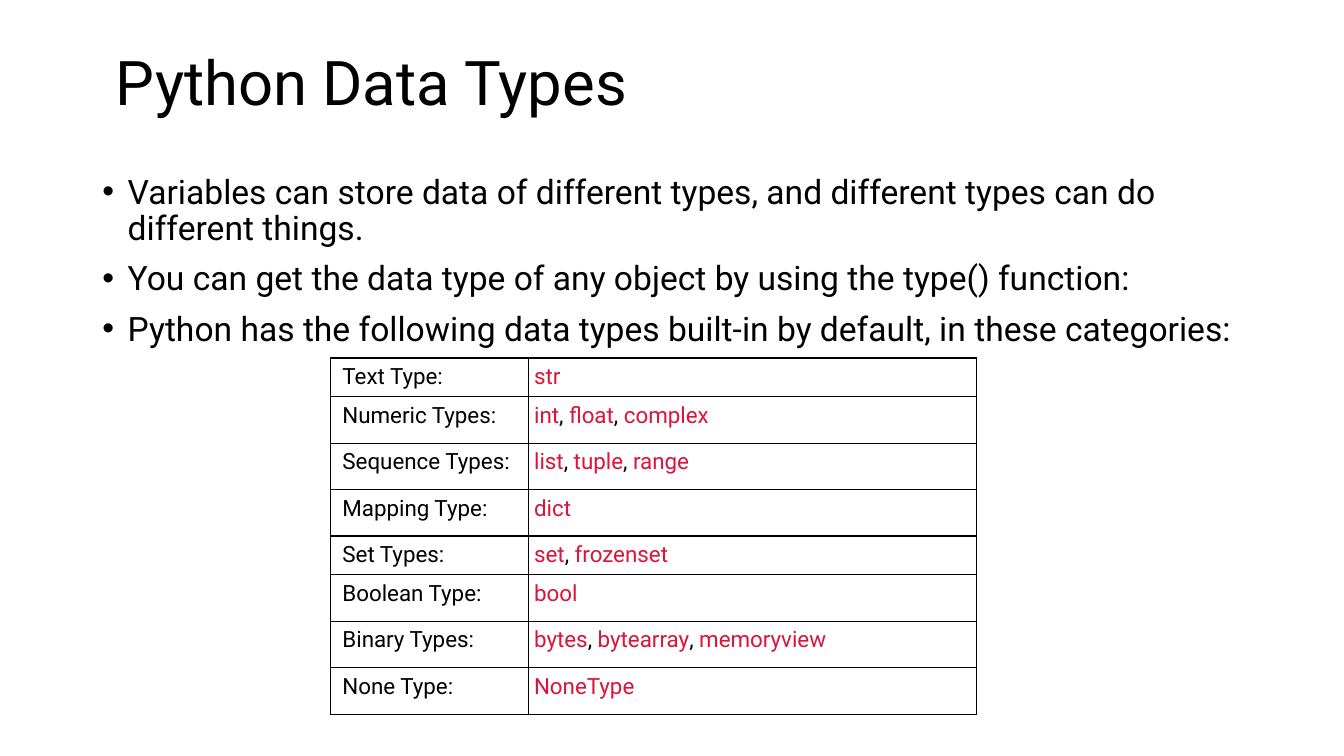
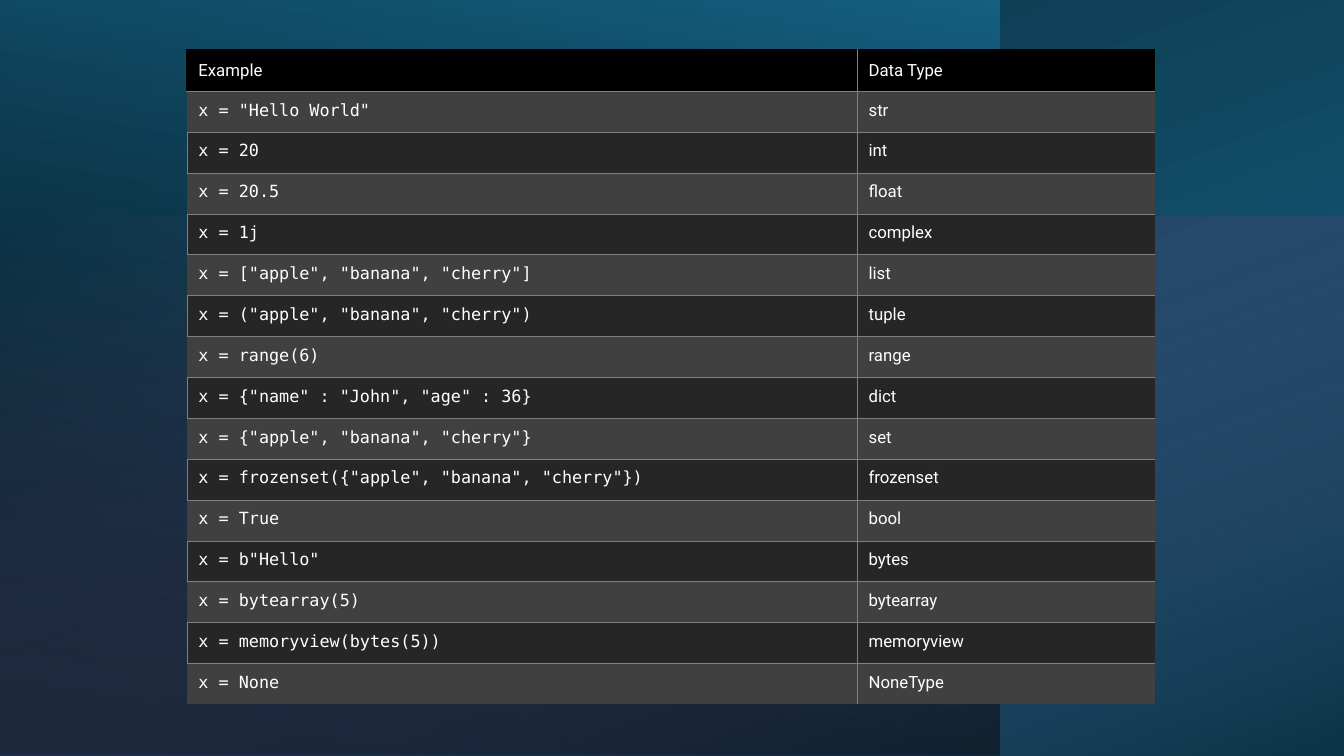
from lxml.etree import SubElement
from pptx import Presentation
from pptx.dml.color import RGBColor
from pptx.enum.shapes import MSO_SHAPE
from pptx.enum.text import MSO_ANCHOR
from pptx.oxml.ns import qn
from pptx.util import Cm, Pt

BLACK = RGBColor(0x00, 0x00, 0x00)
WHITE = RGBColor(0xFF, 0xFF, 0xFF)
CRIMSON = RGBColor(0xDC, 0x14, 0x3C)
GRAY = RGBColor(0x80, 0x80, 0x80)
ROW_LIGHT = RGBColor(0x40, 0x40, 0x40)
ROW_DARK = RGBColor(0x26, 0x26, 0x26)
TEAL = RGBColor(0x15, 0x60, 0x82)
DEEP_TEAL = RGBColor(0x0B, 0x30, 0x41)
PINK = RGBColor(0xD8, 0x6E, 0xCC)

BODY_FONT = "Roboto"
CODE_FONT = "DejaVu Sans Mono"
NO_TABLE_STYLE = "{2D5ABB26-0587-4C30-8999-92F81FD0307C}"
SLIDE_WIDTH, SLIDE_HEIGHT = 33.87, 19.05

BULLETS = [
    "Variables can store data of different types, and different types can do different things.",
    "You can get the data type of any object by using the type() function:",
    "Python has the following data types built-in by default, in these categories:",
]
CATEGORIES = [
    ("Text Type:", "str"),
    ("Numeric Types:", "int, float, complex"),
    ("Sequence Types:", "list, tuple, range"),
    ("Mapping Type:", "dict"),
    ("Set Types:", "set, frozenset"),
    ("Boolean Type:", "bool"),
    ("Binary Types:", "bytes, bytearray, memoryview"),
    ("None Type:", "NoneType"),
]
EXAMPLES = [
    ("Example", "Data Type"),
    ('x = "Hello World"', "str"),
    ("x = 20", "int"),
    ("x = 20.5", "float"),
    ("x = 1j", "complex"),
    ('x = ["apple", "banana", "cherry"]', "list"),
    ('x = ("apple", "banana", "cherry")', "tuple"),
    ("x = range(6)", "range"),
    ('x = {"name" : "John", "age" : 36}', "dict"),
    ('x = {"apple", "banana", "cherry"}', "set"),
    ('x = frozenset({"apple", "banana", "cherry"})', "frozenset"),
    ("x = True", "bool"),
    ('x = b"Hello"', "bytes"),
    ("x = bytearray(5)", "bytearray"),
    ("x = memoryview(bytes(5))", "memoryview"),
    ("x = None", "NoneType"),
]


class Deck:
    def __init__(self):
        self.presentation = Presentation()
        self.presentation.slide_width = Cm(SLIDE_WIDTH)
        self.presentation.slide_height = Cm(SLIDE_HEIGHT)
        self.slide = None

    def new_slide(self):
        self.slide = self.presentation.slides.add_slide(self.presentation.slide_layouts[6])

    def style(self, run, size, color=BLACK, font=BODY_FONT):
        run.font.name = font
        run.font.size = Pt(size)
        run.font.color.rgb = color

    def text_box(self, left, top, width, height):
        shape = self.slide.shapes.add_textbox(Cm(left), Cm(top), Cm(width), Cm(height))
        shape.text_frame.word_wrap = True
        return shape.text_frame

    def title(self, text):
        text_frame = self.text_box(2.67, 0.31, 29.21, 3.68)
        text_frame.vertical_anchor = MSO_ANCHOR.MIDDLE
        text_frame.text = text
        paragraph = text_frame.paragraphs[0]
        paragraph.line_spacing = 0.9
        self.style(paragraph.runs[0], 44)

    def bullets(self, lines):
        text_frame = self.text_box(2.33, 4.29, 29.21, 12.09)
        text_frame.text = "\n".join(lines)
        for index, paragraph in enumerate(text_frame.paragraphs):
            paragraph.line_spacing = 0.9
            paragraph.space_before = Pt(10 if index else 0)
            properties = paragraph._p.get_or_add_pPr()
            properties.set("marL", str(Cm(0.64)))
            properties.set("indent", str(-Cm(0.64)))
            SubElement(properties, qn("a:buFont"), typeface="Arial")
            SubElement(properties, qn("a:buChar"), char="•")
            self.style(paragraph.runs[0], 24)

    def gradient_block(self, top, width, height, rotation, angle, stops):
        """Stops are (position %, colour, opacity %); width and height are as seen."""
        drawn_width, drawn_height = (height, width) if rotation == 270 else (width, height)
        shape = self.slide.shapes.add_shape(
            MSO_SHAPE.RECTANGLE,
            Cm((width - drawn_width) / 2), Cm(top + (height - drawn_height) / 2),
            Cm(drawn_width), Cm(drawn_height))
        shape.shadow.inherit = False
        shape.rotation = rotation
        shape.line.fill.background()
        shape._element.spPr.find(qn("a:xfrm")).set("flipH", "1")
        shape.fill.gradient()
        gradient = shape._element.spPr.find(qn("a:gradFill"))
        for stop, (position, color, opacity) in zip(gradient.find(qn("a:gsLst")), stops):
            stop.set("pos", str(position * 1000))
            stop.remove(stop[0])
            color_element = SubElement(stop, qn("a:srgbClr"), val=str(color))
            SubElement(color_element, qn("a:alpha"), val=str(opacity * 1000))
        gradient.find(qn("a:lin")).set("ang", str(angle * 60000))

    def table(self, left, top, column_widths, row_heights):
        frame = self.slide.shapes.add_table(
            len(row_heights), len(column_widths), Cm(left), Cm(top),
            Cm(sum(column_widths)), Cm(sum(row_heights)))
        table = frame.table
        table.first_row = table.horz_banding = False
        table._tbl.tblPr.find(qn("a:tableStyleId")).text = NO_TABLE_STYLE
        for column, width in zip(table.columns, column_widths):
            column.width = Cm(width)
        for row, height in zip(table.rows, row_heights):
            row.height = Cm(height)
        return table

    def format_cell(self, cell, insets, borders, fill=None):
        """Borders map a side (L, R, T, B) to (colour, points)."""
        (cell.margin_left, cell.margin_top,
         cell.margin_right, cell.margin_bottom) = map(Cm, insets)
        properties = cell._tc.get_or_add_tcPr()
        for side in "LRTB":
            line = SubElement(properties, qn(f"a:ln{side}"))
            if side in borders:
                color, points = borders[side]
                line.set("w", str(Pt(points)))
                solid = SubElement(line, qn("a:solidFill"))
                SubElement(solid, qn("a:srgbClr"), val=str(color))
            else:
                SubElement(line, qn("a:noFill"))
        if fill is None:
            cell.fill.background()
        else:
            cell.fill.solid()
            cell.fill.fore_color.rgb = fill

    def category_table(self, rows):
        heights = [0.69 if index % 4 == 0 else 1.17 for index in range(len(rows))]
        table = self.table(8.33, 9.02, [4.98, 11.3], heights)
        borders = dict.fromkeys("LRTB", (BLACK, 1))
        for index, (category, types) in enumerate(rows):
            label, value = table.cell(index, 0), table.cell(index, 1)
            self.format_cell(label, (0.3, 0.15, 0.15, 0.15), borders)
            self.format_cell(value, (0.15, 0.15, 0.15, 0.15), borders)
            label.text_frame.text = category
            self.style(label.text_frame.paragraphs[0].runs[0], 16)
            paragraph = value.text_frame.paragraphs[0]
            for position, name in enumerate(types.split(", ")):
                pieces = [(name, CRIMSON)]
                if position:
                    pieces.insert(0, (", ", BLACK))
                for text, color in pieces:
                    run = paragraph.add_run()
                    run.text = text
                    self.style(run, 16, color)

    def example_table(self, rows):
        table = self.table(4.72, 1.27, [16.89, 7.49], [1.03] * len(rows))
        thin, thick = (GRAY, 0.5), (BLACK, 1.5)
        for index, row in enumerate(rows):
            is_header = index == 0
            fill = BLACK if is_header else ROW_LIGHT if index % 2 else ROW_DARK
            for column, text in enumerate(row):
                borders = {"T": thick if is_header else thin}
                if index < len(rows) - 1:
                    borders["B"] = thin
                if column == 0:
                    borders["R"] = thin
                if column == 1 or index % 2 == 0:
                    borders["L"] = thick if is_header and column == 0 else thin
                cell = table.cell(index, column)
                self.format_cell(cell, (0.28, 0.23, 0.08, 0.23), borders, fill)
                if is_header:
                    cell.vertical_anchor = MSO_ANCHOR.MIDDLE
                cell.text_frame.text = text
                is_code = column == 0 and not is_header
                self.style(cell.text_frame.paragraphs[0].runs[0], 12, WHITE,
                           CODE_FONT if is_code else BODY_FONT)


def main():
    deck = Deck()

    # Built-in types by category
    deck.new_slide()
    deck.bullets(BULLETS)
    deck.title("Python Data Types")
    deck.category_table(CATEGORIES)

    # Examples on layered gradients
    deck.new_slide()
    deck.gradient_block(0, SLIDE_WIDTH, SLIDE_HEIGHT, 270, 200,
                        [(8, TEAL, 100), (100, DEEP_TEAL, 100)])
    deck.gradient_block(0, 25.2, SLIDE_HEIGHT, 180, 80,
                        [(8, BLACK, 52), (100, TEAL, 100)])
    deck.gradient_block(5.45, SLIDE_WIDTH, 13.6, 270, 20,
                        [(0, PINK, 0), (100, BLACK, 46)])
    deck.example_table(EXAMPLES)

    deck.presentation.save("out.pptx")


if __name__ == "__main__":
    main()
